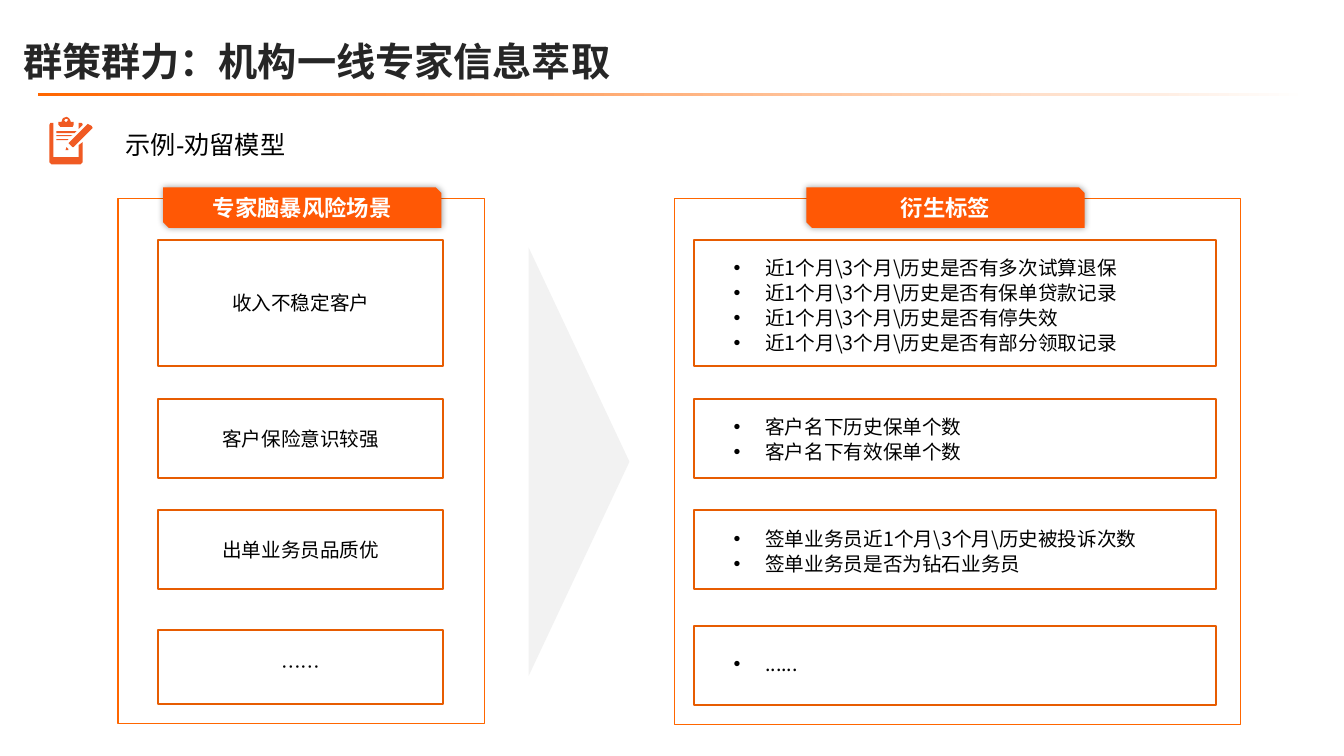
import pptx
import pptx.util
import pptx.dml.color
import pptx.enum.dml
import pptx.enum.lang
import pptx.enum.shapes
import pptx.enum.text
import pptx.oxml.ns
import lxml.etree

Pt = pptx.util.Pt
qn = pptx.oxml.ns.qn
RGB = pptx.dml.color.RGBColor.from_string
SHAPE = pptx.enum.shapes.MSO_SHAPE
MIDDLE = pptx.enum.text.MSO_ANCHOR.MIDDLE
TOP = pptx.enum.text.MSO_ANCHOR.TOP
CENTER = pptx.enum.text.PP_ALIGN.CENTER
CHINESE = pptx.enum.lang.MSO_LANGUAGE_ID.SIMPLIFIED_CHINESE

THEME = {
    "cjk": "Noto Sans CJK SC", "latin": "Arial",
    "title": "262626", "text": "000000", "white": "FFFFFF",
    "banner": "FF5805", "panel": "FF6600", "card": "E75C01",
    "icon": "F05A23", "arrow": "F2F2F2", "shadow": "000000",
    "fade": [(0, "FFFFFF"), (50, "FFB380"), (75, "FF8D40"), (100, "FF6600")],
    "title_size": 28, "subtitle_size": 18, "banner_size": 16, "body_size": 14,
}


def add_box(kind, frame, fill=None, line=None, width=1):
    box = slide.shapes.add_shape(kind, *map(Pt, frame))
    box.shadow.inherit = False
    if fill:
        box.fill.solid()
        box.fill.fore_color.rgb = RGB(fill)
    else:
        box.fill.background()
    if line:
        box.line.color.rgb = RGB(line)
        box.line.width = Pt(width)
    else:
        box.line.fill.background()
    return box


def write(holder, lines, face, size, color, bold=False, anchor=MIDDLE,
          inset=(7.2, 3.6), layout=None, indent=(0, 0), bullet=None):
    frame = holder.text_frame
    frame_format = {
        "word_wrap": True, "vertical_anchor": anchor,
        "margin_left": Pt(inset[0]), "margin_right": Pt(inset[0]),
        "margin_top": Pt(inset[1]), "margin_bottom": Pt(inset[1]),
    }
    for name, value in frame_format.items():
        setattr(frame, name, value)
    for index, line in enumerate(lines):
        paragraph = frame.add_paragraph() if index else frame.paragraphs[0]
        properties = paragraph._p.get_or_add_pPr()
        properties.set("marL", str(Pt(indent[0])))
        properties.set("indent", str(Pt(indent[1])))
        if bullet:
            lxml.etree.SubElement(properties, qn("a:buFont"), typeface=THEME["latin"])
            lxml.etree.SubElement(properties, qn("a:buChar"), char=bullet)
        for name, value in (layout or {}).items():
            setattr(paragraph, name, value)
        run = paragraph.add_run()
        run.text = line
        font_format = {"name": face, "size": Pt(size), "bold": bold, "language_id": CHINESE}
        for name, value in font_format.items():
            setattr(run.font, name, value)
        run.font.color.rgb = RGB(color)
        lxml.etree.SubElement(run._r.get_or_add_rPr(), qn("a:ea"), typeface=THEME["cjk"])


presentation = pptx.Presentation()
presentation.slide_width, presentation.slide_height = Pt(960), Pt(540)
slide = presentation.slides.add_slide(presentation.slide_layouts[6])

title_rule = add_box(SHAPE.RECTANGLE, (27.4, 66.4, 907.2, 2.2))
title_rule.fill.gradient()
title_rule.fill.gradient_angle = 180
fade_stops = title_rule._element.spPr.find(".//" + qn("a:gsLst"))
for old_stop in list(fade_stops):
    fade_stops.remove(old_stop)
for position, color in THEME["fade"]:
    stop = lxml.etree.SubElement(fade_stops, qn("a:gs"), pos=str(position * 1000))
    lxml.etree.SubElement(stop, qn("a:srgbClr"), val=color)

title = slide.shapes.add_textbox(Pt(9.4), Pt(5.8), Pt(925.2), Pt(68.4))
write(title, ["群策群力：机构一线专家信息萃取"], THEME["cjk"], THEME["title_size"],
      THEME["title"], bold=True, layout={"line_spacing": 1.2})
subtitle = slide.shapes.add_textbox(Pt(74.2), Pt(88.6), Pt(319.7), Pt(28.8))
write(subtitle, ["示例-劝留模型"], THEME["latin"], THEME["subtitle_size"],
      THEME["text"], anchor=TOP, indent=(8.6, 0))

clip = [(66, 116), (68, 117), (69, 118), (70, 120), (70, 121), (73, 121), (73, 124),
        (72, 126), (60, 126), (58, 124), (58, 121), (61, 121), (62, 118), (63, 117)]
clip_hole = [(66, 118), (65, 118), (64, 119), (64, 120), (65, 121), (66, 121),
             (67, 120), (67, 118)]
corner = [(78, 122), (81, 122), (82, 123), (82, 124), (78, 128)]
board = [(52, 122), (53, 122), (53, 156), (78, 156), (78, 144), (82, 141), (82, 161),
         (80, 163), (51, 163), (49, 161), (49, 124), (50, 122)]
pencil = [(87, 123), (89, 124), (91, 125), (92, 127), (91, 128), (73, 146), (72, 146),
          (70, 144), (68, 142)]
pencil_tip = [(66, 146), (68, 148), (68, 149), (65, 149)]
notes = [[(56, y), (right, y), (right - slant, y + depth), (56, y + depth)]
         for y, right, slant, depth in [(138, 68, 1, 1), (134, 72, 2, 1), (130, 76, 2, 2)]]
clipboard = slide.shapes.add_group_shape()
for outlines in [[clip_hole, clip], [corner], [board], [pencil], [pencil_tip],
                 *[[note] for note in notes]]:
    builder = clipboard.shapes.build_freeform(*outlines[0][0], scale=Pt(0.72))
    builder.add_line_segments(outlines[0][1:], close=True)
    for outline in outlines[1:]:
        builder.move_to(*outline[0])
        builder.add_line_segments(outline[1:], close=True)
    part = builder.convert_to_shape()
    part.shadow.inherit = False
    part.fill.solid()
    part.fill.fore_color.rgb = RGB(THEME["icon"])
    part.line.fill.background()

row_spans = [(171.4, 90), (285.1, 56.2), (364.3, 56.2)]
columns = [
    {"panel": (84.2, 141.8, 262.1, 375.1), "banner_left": 116.6, "heading": "专家脑暴风险场景",
     "card": (113, 203.8), "rows": row_spans + [(450, 52.6)],
     "scenes": ["收入不稳定客户", "客户保险意识较强", "出单业务员品质优", "……"]},
    {"panel": (481.7, 141.8, 404.6, 375.8), "banner_left": 576, "heading": "衍生标签",
     "card": (495.4, 373), "rows": row_spans + [(447.1, 56.2)], "scenes": [None] * 4},
]
for column in columns:
    add_box(SHAPE.RECTANGLE, column["panel"], line=THEME["panel"])
    banner = add_box(SHAPE.SNIP_2_DIAG_RECTANGLE, (column["banner_left"], 133.9, 198.7, 28.8),
                     THEME["banner"])
    banner.adjustments[0], banner.adjustments[1] = 0, 0.136
    glow = lxml.etree.SubElement(banner._element.spPr.find(qn("a:effectLst")),
                                 qn("a:outerShdw"), blurRad=str(Pt(5)), dist="0", dir="0")
    glow_color = lxml.etree.SubElement(glow, qn("a:srgbClr"), val=THEME["shadow"])
    lxml.etree.SubElement(glow_color, qn("a:alpha"), val="40000")
    write(banner, [column["heading"]], THEME["latin"], THEME["banner_size"],
          THEME["white"], bold=True, layout={"alignment": CENTER})
    left, width = column["card"]
    for (top, height), scene in zip(column["rows"], column["scenes"]):
        card = add_box(SHAPE.RECTANGLE, (left, top, width, height),
                       THEME["white"], THEME["card"], 1.5)
        if scene:
            write(card, [scene], THEME["cjk"], THEME["body_size"], THEME["text"],
                  inset=(0, 0), layout={"alignment": CENTER})

arrow = add_box(SHAPE.ISOSCELES_TRIANGLE, (260.6, 293.8, 306, 72), THEME["arrow"])
arrow.rotation = 90

derived_tags = [
    (172.8, 89.3, ["近1个月\\3个月\\历史是否有多次试算退保", "近1个月\\3个月\\历史是否有保单贷款记录",
                   "近1个月\\3个月\\历史是否有停失效", "近1个月\\3个月\\历史是否有部分领取记录"]),
    (284.4, 57.6, ["客户名下历史保单个数", "客户名下有效保单个数"]),
    (364.3, 57.6, ["签单业务员近1个月\\3个月\\历史被投诉次数", "签单业务员是否为钻石业务员"]),
    (447.1, 53.3, ["......"]),
]
for top, height, tags in derived_tags:
    tag_list = slide.shapes.add_textbox(Pt(517), Pt(top), Pt(327.6), Pt(height))
    write(tag_list, tags, THEME["cjk"], THEME["body_size"], THEME["text"],
          layout={"line_spacing": Pt(18)}, indent=(22.5, -22.5), bullet="•")

presentation.save("out.pptx")
